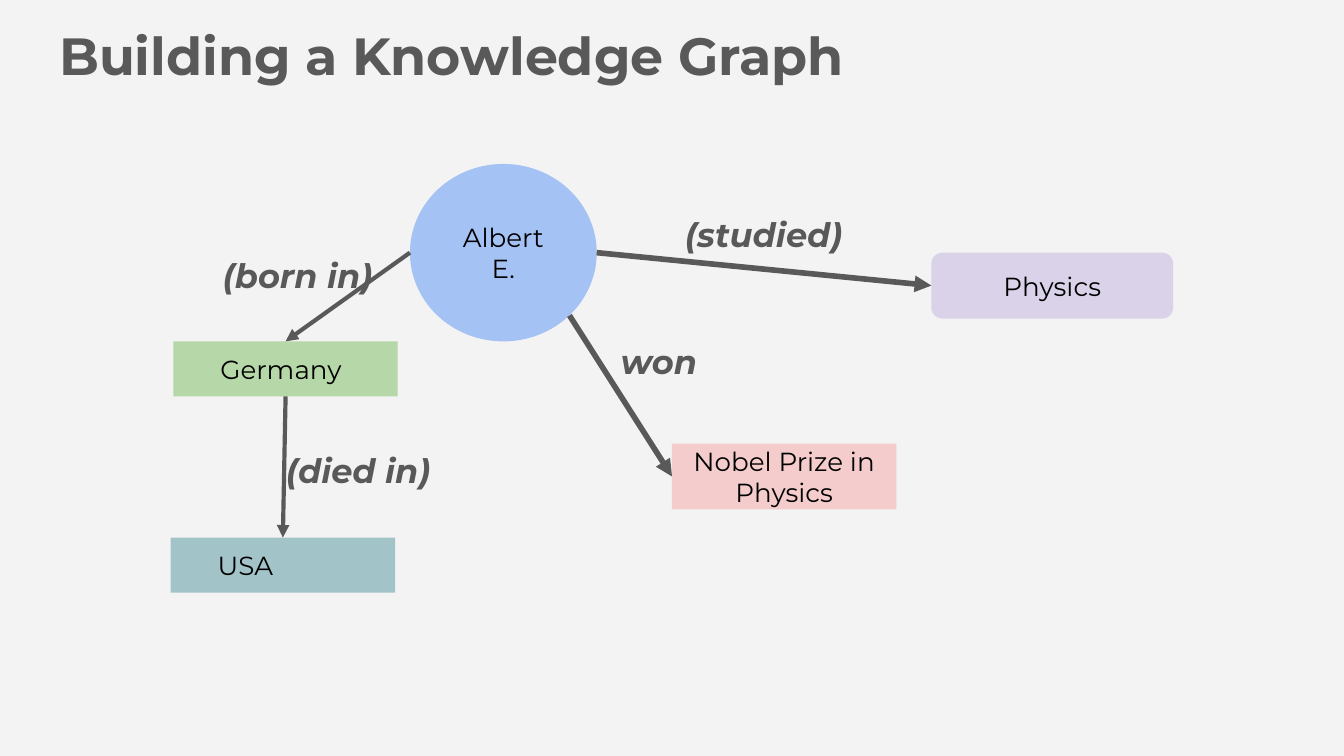
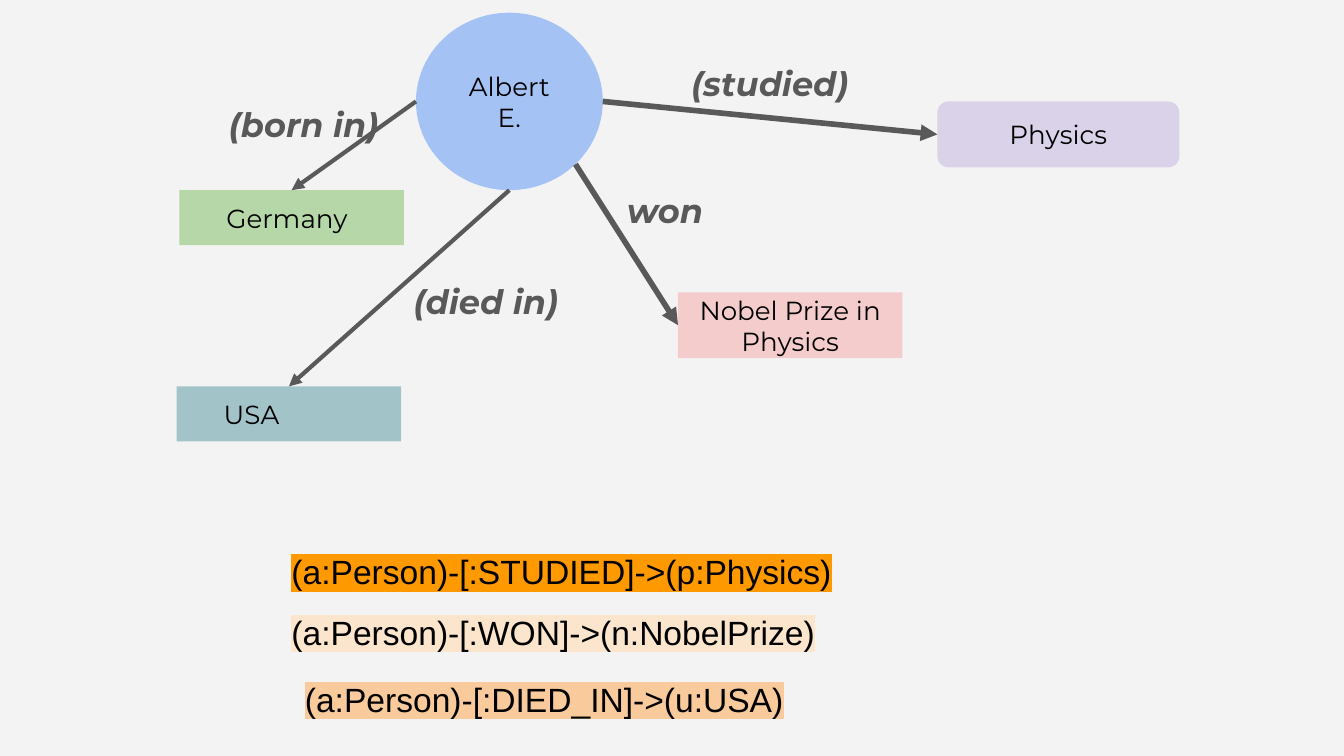
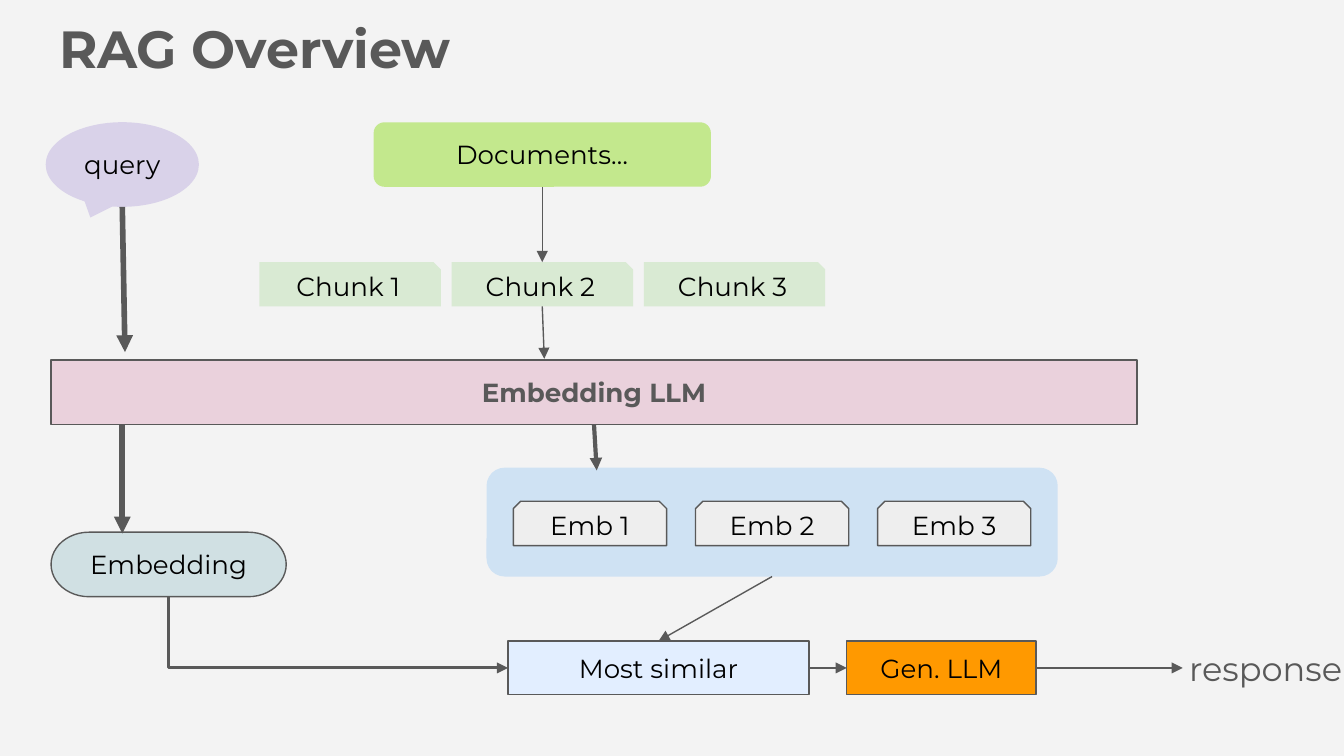
from lxml import etree
from pptx import Presentation
from pptx import util as u
from pptx.dml.color import RGBColor
from pptx.enum import shapes, text
from pptx.oxml import ns

COLUMNS, ROWS = 100, 56.25
CELL = u.Inches(10) / COLUMNS
INSET = 1
HEADING_FONT, CODE_FONT = "Montserrat", "Arial"
COLORS = {
    "page": "F3F3F3", "ink": "595959", "black": "000000",
    "person": "A4C2F4", "lilac": "D9D2E9", "prize": "F4CCCC",
    "germany": "B6D7A8", "usa": "A2C4C9",
    "documents": "C3E88D", "chunk": "D9EAD3", "model": "EAD1DC",
    "store": "CFE2F3", "emb": "EEEEEE", "embedding": "D0E0E3",
    "similar": "E2EEFF", "orange": "FF9900",
    "cream": "FCE5CD", "peach": "F9CB9C",
}
TOP, BOTTOM, LEFT, RIGHT = (0.5, 0), (0.5, 1), (0, 0.5), (1, 0.5)
LOWER_RIGHT = (0.854, 0.854)
THICK, MEDIUM, BENT, THIN = 3, 2.25, 1.5, 0.75
FORMS = shapes.MSO_SHAPE


def cells(*counts):
    return [u.Emu(round(count * CELL)) for count in counts]


def rgb(name):
    return RGBColor.from_string(COLORS[name])


def joint(box, share):
    left, top, width, height = box
    return left + width * share[0], top + height * share[1]


def write(frame, words, size, color="ink", font=HEADING_FONT, bold=False,
          italic=False, align="LEFT", anchor="TOP", indent=0):
    frame.word_wrap = True
    frame.auto_size = text.MSO_AUTO_SIZE.NONE
    frame.vertical_anchor = text.MSO_ANCHOR[anchor]
    frame.margin_left, frame.margin_right = cells(INSET + indent, INSET)
    frame.margin_top, frame.margin_bottom = cells(INSET, INSET)
    paragraph = frame.paragraphs[0]
    run = paragraph.add_run()
    run.text = words
    paragraph.alignment = text.PP_ALIGN[align]
    paragraph.font.name = font
    paragraph.font.size = u.Pt(size)
    paragraph.font.bold = bold
    paragraph.font.italic = italic
    paragraph.font.color.rgb = rgb(color)
    return run


def titled_slide(prs, words, top):
    slide = prs.slides.add_slide(prs.slide_layouts[5])
    title = slide.shapes.title
    title.left, title.top, title.width, title.height = cells(3.4, top, 93.2, 6.3)
    write(title.text_frame, words, 28, bold=True)
    return slide


def node(slide, form, box, fill, words="", outlined=False, **style):
    shape = slide.shapes.add_shape(form, *cells(*box))
    shape.shadow.inherit = False
    shape.fill.solid()
    shape.fill.fore_color.rgb = rgb(fill)
    if outlined:
        shape.line.color.rgb = rgb("ink")
        shape.line.width = u.Pt(THIN)
    else:
        shape.line.fill.background()
    if words:
        look = {"color": "black", "align": "CENTER", "anchor": "MIDDLE", **style}
        write(shape.text_frame, words, 14, **look)
    return box


def label(slide, words, box, **style):
    frame = slide.shapes.add_textbox(*cells(*box)).text_frame
    return write(frame, words, 18, **style)


def relation(slide, words, box):
    label(slide, words, box, bold=True, italic=True)


def arrow(slide, start, end, weight, kind=shapes.MSO_CONNECTOR.STRAIGHT):
    link = slide.shapes.add_connector(kind, *cells(*start, *end))
    link.line.color.rgb = rgb("ink")
    link.line.width = u.Pt(weight)
    etree.SubElement(link.line._get_or_add_ln(), ns.qn("a:tailEnd"), type="triangle")
    etree.SubElement(link._element.spPr, ns.qn("a:effectLst"))
    return link


def down_then_right(slide, start, end, weight):
    across, down = end[0] - start[0], end[1] - start[1]
    middle_x, middle_y = (start[0] + end[0]) / 2, (start[1] + end[1]) / 2
    link = arrow(slide, (middle_x + down / 2, middle_y - across / 2),
                 (middle_x - down / 2, middle_y + across / 2),
                 weight, shapes.MSO_CONNECTOR.ELBOW)
    properties = link._element.spPr
    properties.find(ns.qn("a:xfrm")).set("rot", str(270 * 60000))
    properties.find(ns.qn("a:prstGeom")).set("prst", "bentConnector2")


def query_line(slide, words, left, top, marker):
    run = label(slide, words, (left, top, 57.2, 5), color="black", font=CODE_FONT)
    highlight = etree.SubElement(run._r.get_or_add_rPr(), ns.qn("a:highlight"))
    etree.SubElement(highlight, ns.qn("a:srgbClr"), val=COLORS[marker])


def knowledge_graph(slide, right=0, up=0):
    def place(left, top, width, height):
        return left + right, top - up, width, height

    person = node(slide, FORMS.OVAL, place(30.5, 12.2, 13.9, 13.2), "person", "Albert E.")
    physics = node(slide, FORMS.ROUNDED_RECTANGLE, place(69.3, 18.8, 18, 4.9),
                   "lilac", "Physics")
    prize = node(slide, FORMS.RECTANGLE, place(50, 33, 16.7, 4.9),
                 "prize", "Nobel Prize in Physics")
    germany, usa = [
        node(slide, FORMS.RECTANGLE, place(left, top, 16.7, 4.1), fill, country,
             align="LEFT", indent=2.5)
        for country, left, top, fill in [("Germany", 12.9, 25.4, "germany"),
                                         ("USA", 12.7, 40, "usa")]]
    relation(slide, "(studied)", place(50, 14.9, 15.8, 2.3))
    relation(slide, "won", place(45.2, 24.4, 13.2, 2.3))
    relation(slide, "(born in)", place(15.6, 18, 18.9, 3))
    arrow(slide, joint(person, LOWER_RIGHT), joint(prize, LEFT), THICK)
    arrow(slide, joint(person, RIGHT), joint(physics, LEFT), THICK)
    arrow(slide, joint(person, LEFT), joint(germany, TOP), MEDIUM)
    return person, germany, usa


def died_in(slide, source, usa, left, top):
    arrow(slide, joint(source, BOTTOM), joint(usa, TOP), MEDIUM)
    relation(slide, "(died in)", (left, top, 18.9, 3))


def building_slide(prs):
    slide = titled_slide(prs, "Building a Knowledge Graph", 0.7)
    person, germany, usa = knowledge_graph(slide)
    died_in(slide, germany, usa, 20.3, 32.5)


def query_slide(prs):
    slide = prs.slides.add_slide(prs.slide_layouts[6])
    person, germany, usa = knowledge_graph(slide, right=0.45, up=11.25)
    died_in(slide, person, usa, 29.8, 19.9)
    query_line(slide, "(a:Person)-[:STUDIED]->(p:Physics)", 20.7, 40, "orange")
    query_line(slide, "(a:Person)-[:WON]->(n:NobelPrize)", 20.7, 44.5, "cream")
    query_line(slide, "(a:Person)-[:DIED_IN]->(u:USA)", 21.7, 49.5, "peach")


def rag_slide(prs):
    slide = titled_slide(prs, "RAG Overview", 0.2)
    documents = node(slide, FORMS.ROUNDED_RECTANGLE, (27.8, 9.1, 25.1, 4.8),
                     "documents", "Documents…")
    chunks = [node(slide, FORMS.SNIP_1_RECTANGLE, (19.3 + 14.3 * i, 19.5, 13.5, 3.3),
                   "chunk", f"Chunk {i + 1}") for i in range(3)]
    model = node(slide, FORMS.RECTANGLE, (3.8, 26.8, 80.8, 4.8), "model",
                 "Embedding LLM", outlined=True, color="ink", bold=True)
    store = node(slide, FORMS.ROUNDED_RECTANGLE, (36.2, 34.8, 42.5, 8.1), "store")
    for i in range(3):
        node(slide, FORMS.SNIP_2_SAME_RECTANGLE, (38.2 + 13.55 * i, 37.3, 11.4, 3.3),
             "emb", f"Emb {i + 1}", outlined=True)
    query = node(slide, FORMS.OVAL_CALLOUT, (3.4, 9.1, 11.4, 6.3), "lilac", "query")
    embedding = node(slide, FORMS.FLOWCHART_TERMINATOR, (3.8, 39.6, 17.5, 4.8),
                     "embedding", "Embedding", outlined=True)
    similar = node(slide, FORMS.RECTANGLE, (37.8, 47.7, 22.4, 4), "similar",
                   "Most similar", outlined=True)
    generator = node(slide, FORMS.RECTANGLE, (63, 47.7, 14.1, 4), "orange",
                     "Gen. LLM", outlined=True)
    label(slide, "response", (87.5, 47.2, 15.6, 5))

    arrow(slide, joint(query, BOTTOM), (9.3, 26.2), THICK)
    arrow(slide, (9.1, 31.6), (9.1, 39.7), THICK)
    arrow(slide, joint(model, BOTTOM), (44.4, 35), MEDIUM)
    down_then_right(slide, joint(embedding, BOTTOM), joint(similar, LEFT), BENT)
    for start, end in [
        (joint(documents, BOTTOM), joint(chunks[1], TOP)),
        (joint(chunks[1], BOTTOM), (40.5, 26.7)),
        (joint(store, BOTTOM), joint(similar, TOP)),
        (joint(similar, RIGHT), joint(generator, LEFT)),
        (joint(generator, RIGHT), (88, 49.7)),
    ]:
        arrow(slide, start, end, THIN)


def main():
    prs = Presentation()
    prs.slide_width, prs.slide_height = cells(COLUMNS, ROWS)
    page = prs.slide_master.background.fill
    page.solid()
    page.fore_color.rgb = rgb("page")
    building_slide(prs)
    query_slide(prs)
    rag_slide(prs)
    prs.save("out.pptx")


if __name__ == "__main__":
    main()
